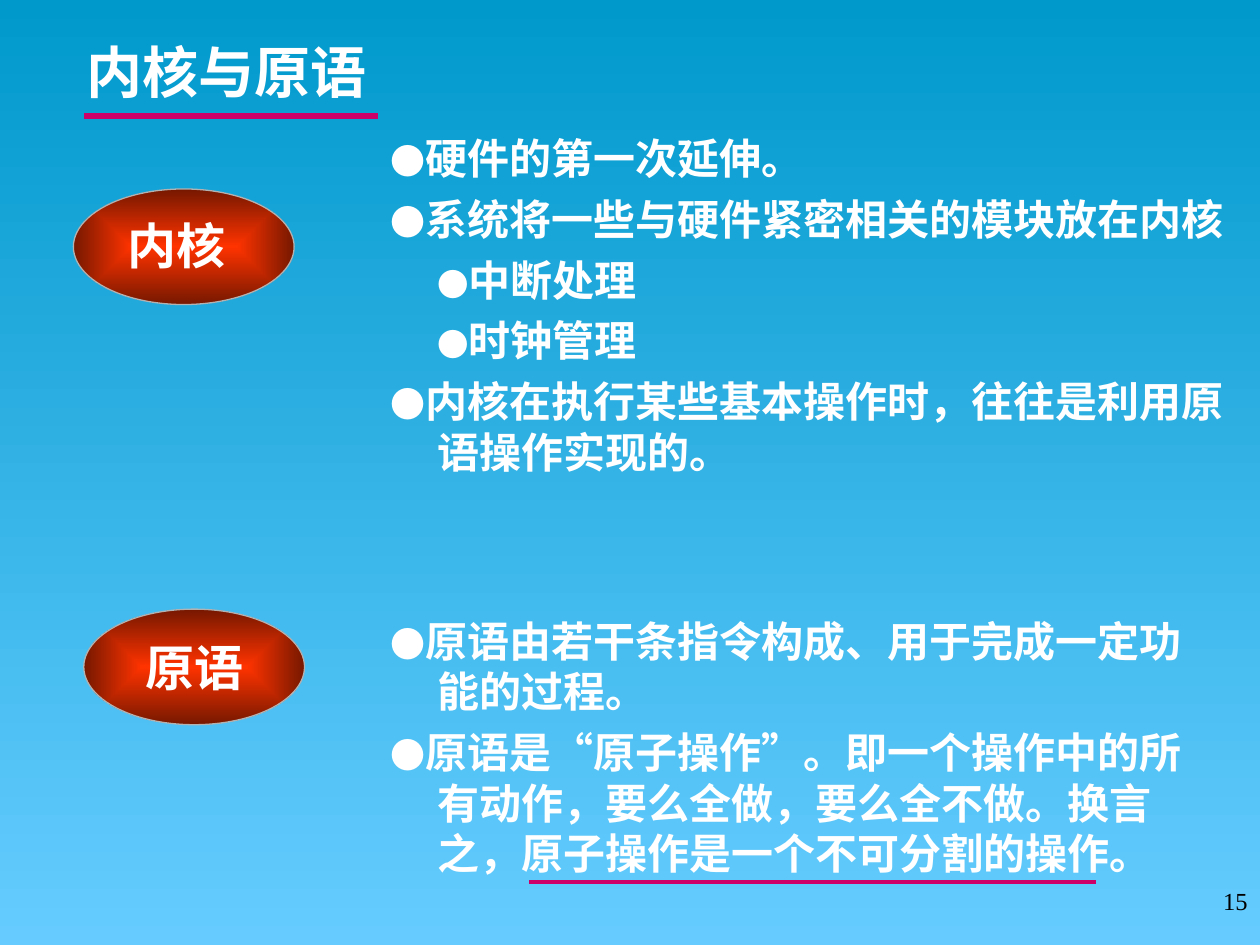
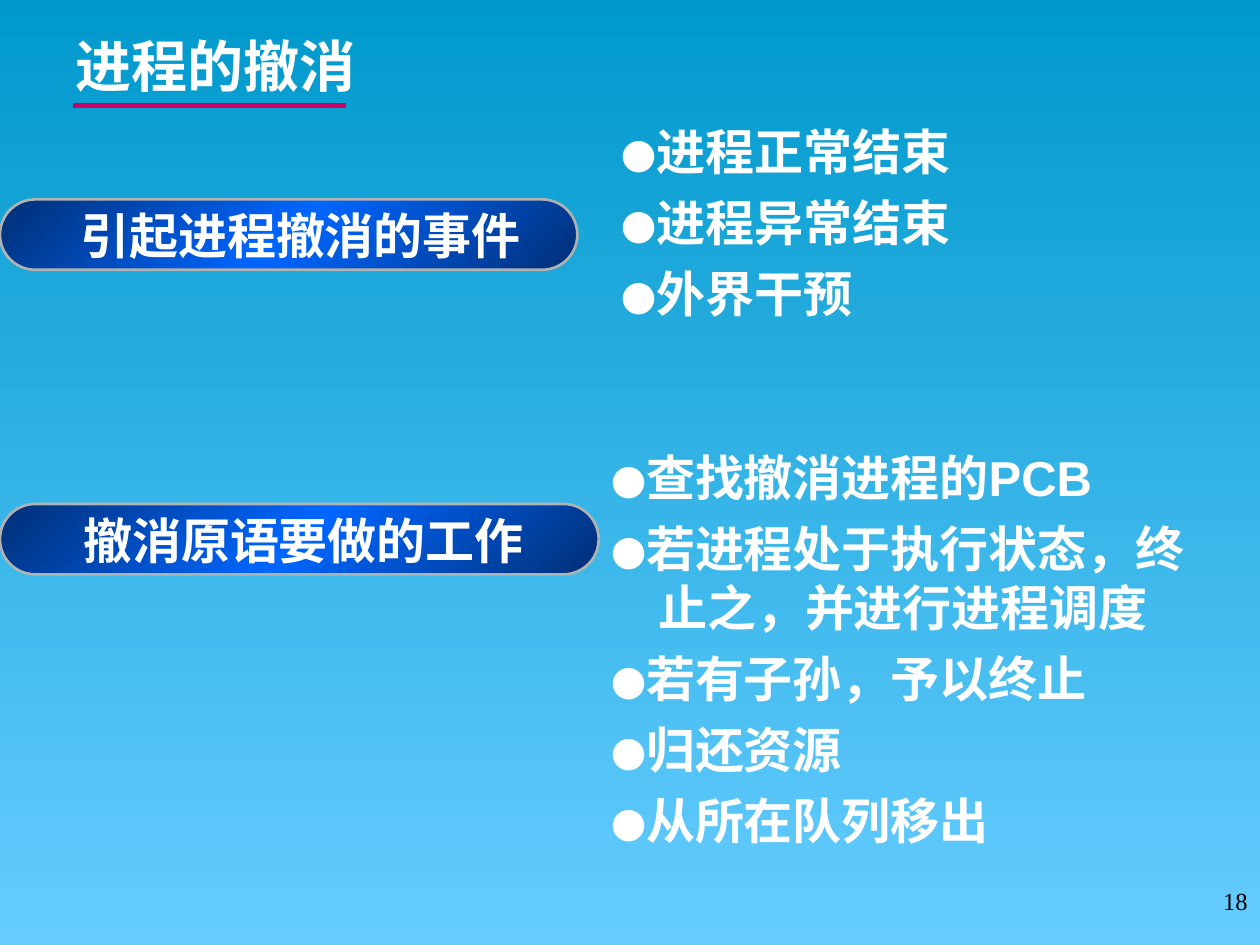
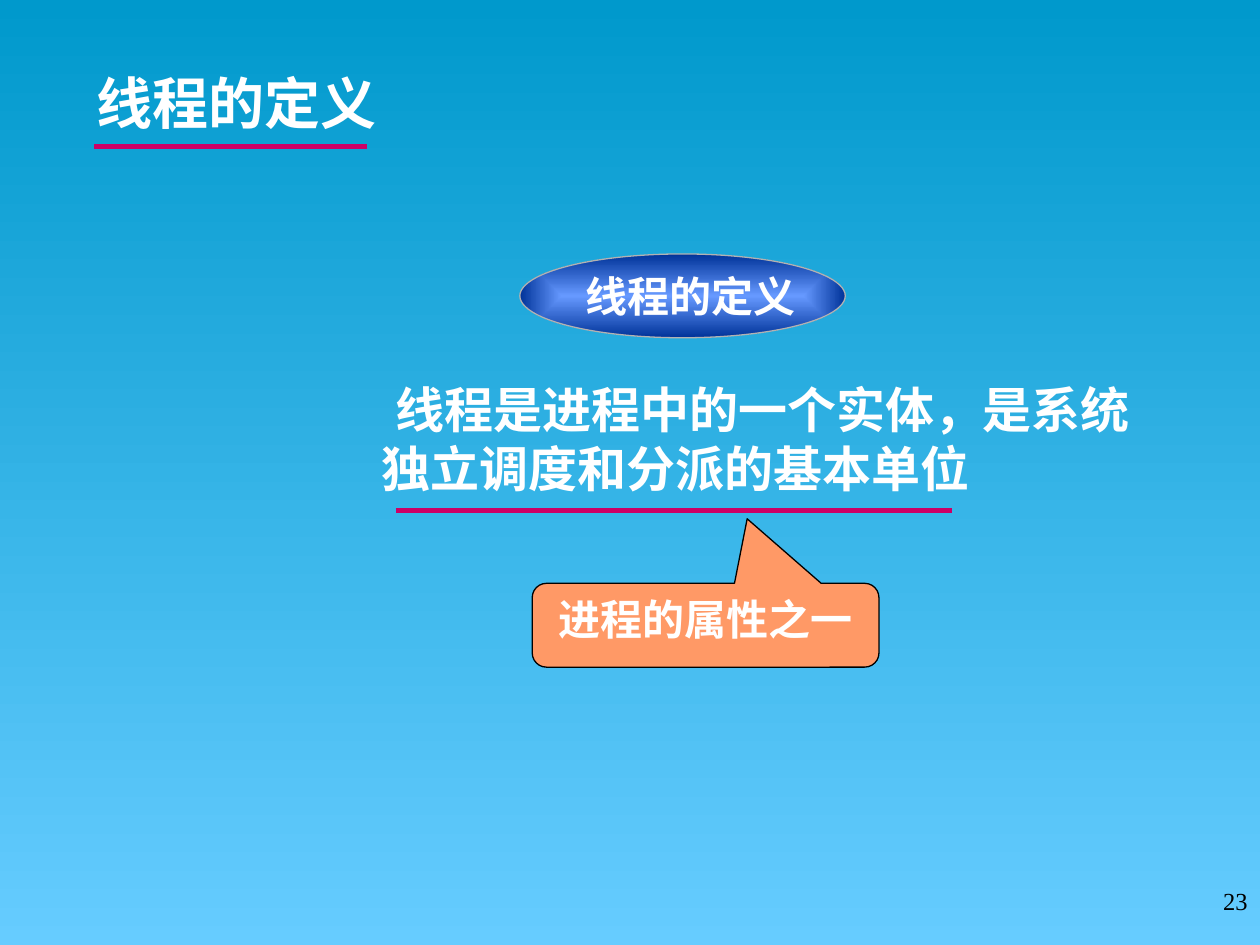
from dataclasses import dataclass

import pptx
import pptx.dml.color
import pptx.enum.shapes
import pptx.enum.text
import pptx.oxml
import pptx.oxml.ns
import pptx.util
from lxml import etree

Cm, Pt = pptx.util.Cm, pptx.util.Pt
SHAPE = pptx.enum.shapes.MSO_SHAPE
ALIGN = pptx.enum.text.PP_ALIGN
ANCHOR = pptx.enum.text.MSO_ANCHOR
qn = pptx.oxml.ns.qn


@dataclass(frozen=True)
class Theme:
    white: str = "FFFFFF"
    black: str = "000000"
    rule: str = "CC0066"
    outline: str = "B2B2B2"
    callout: str = "FF9966"
    sky: tuple = ("0099CC", "66CCFF")
    red: tuple = ("FF3300", "761800")
    blue: tuple = ("6699FF", "003399")
    navy: tuple = ("002F76", "0066FF", "002F76")
    title_font: str = "Arial Narrow"
    body_font: str = "Arial"
    label_font: str = "Times New Roman"
    pill_font: str = "Cabin"
    title_size: int = 32
    large: int = 28
    medium: int = 24
    bullet: int = 20
    sub_bullet: int = 18
    number: int = 14
    hang: float = 0.95


T = Theme()


def rgb(value):
    return pptx.dml.color.RGBColor.from_string(value)


def place(shape, box):
    for name, value in zip(("left", "top", "width", "height"), box):
        setattr(shape, name, Cm(value))


def add_run(p, text, size, font, color=T.white, bold=True):
    r = p.add_run()
    r.text = text
    for name, value in {"size": Pt(size), "name": font, "bold": bold}.items():
        setattr(r.font, name, value)
    r.font.color.rgb = rgb(color)


def set_gradient(fill, root, colors, angle=None):
    """Spread colors evenly, along angle or, without one, outwards from the centre."""
    fill.gradient()
    grad = root.find(".//" + qn("a:gradFill"))
    for child in list(grad):
        grad.remove(child)
    stops = etree.SubElement(grad, qn("a:gsLst"))
    for i, color in enumerate(colors):
        pos = str(100000 * i // (len(colors) - 1))
        stop = etree.SubElement(stops, qn("a:gs"), pos=pos)
        etree.SubElement(stop, qn("a:srgbClr"), val=color)
    if angle is None:
        outward = etree.SubElement(grad, qn("a:path"), {"path": "rect"})
        etree.SubElement(outward, qn("a:fillToRect"), dict.fromkeys("ltrb", "50000"))
    else:
        etree.SubElement(grad, qn("a:lin"), ang=str(angle * 60000), scaled="0")


def add_text_box(shapes, box):
    tf = shapes.add_textbox(*map(Cm, box)).text_frame
    tf.word_wrap = True
    return tf


def add_rule(s, x, y, width, weight=3):
    line = s.shapes.add_connector(
        pptx.enum.shapes.MSO_CONNECTOR.STRAIGHT, Cm(x), Cm(y), Cm(x + width), Cm(y))
    line.line.color.rgb = rgb(T.rule)
    line.line.width = Pt(weight)
    etree.SubElement(line.element.spPr, qn("a:effectLst"))


def add_heading(s, text, box, rule_y, rule_width):
    title = s.shapes.title
    place(title, box)
    tf = title.text_frame
    tf.auto_size = pptx.enum.text.MSO_AUTO_SIZE.NONE
    tf.vertical_anchor = ANCHOR.MIDDLE
    p = tf.paragraphs[0]
    p.alignment, p.line_spacing = ALIGN.LEFT, 0.7
    add_run(p, text, T.title_size, T.title_font)
    add_rule(s, box[0] + 0.21, box[1] + rule_y, rule_width)


def add_page_number(s, number):
    p = add_text_box(s.shapes, (19.48, 17.73, 5.92, 1.32)).paragraphs[0]
    p.alignment = ALIGN.RIGHT
    add_run(p, str(number), T.number, T.label_font, T.black, bold=False)


def add_solid_shape(shapes, kind, box, outline, weight):
    shape = shapes.add_shape(kind, *map(Cm, box))
    shape.shadow.inherit = False
    shape.line.color.rgb = rgb(outline)
    shape.line.width = Pt(weight)
    return shape


def add_label(s, text, box, colors, caption=None, kind=SHAPE.OVAL, angle=None,
              weight=0.75, size=T.large, font=T.label_font):
    """Gradient label; caption is the text's own box, relative to the label."""
    shapes = s.shapes.add_group_shape().shapes if caption else s.shapes
    shape = add_solid_shape(shapes, kind, box, T.outline, weight)
    set_gradient(shape.fill, shape.element.spPr, colors, angle)
    if kind == SHAPE.ROUNDED_RECTANGLE:
        shape.adjustments[0] = 0.5
    if caption:
        dx, dy, width, height = caption
        tf = add_text_box(shapes, (box[0] + dx, box[1] + dy, width, height))
    else:
        tf = shape.text_frame
        tf.word_wrap = False
        tf.vertical_anchor = ANCHOR.MIDDLE
        tf.paragraphs[0].alignment = ALIGN.CENTER
    add_run(tf.paragraphs[0], text, size, font)


def add_pill(s, text, box, caption, font):
    add_label(s, text, box, T.navy, caption, SHAPE.ROUNDED_RECTANGLE, 45, 1.5, font=font)


def indent(p, left, first):
    pPr = p._p.get_or_add_pPr()
    pPr.set("marL", str(Cm(left)))
    pPr.set("indent", str(Cm(first)))


def add_bullets(s, box, items, size, gap):
    """Items are strings, or (string,) for the second level."""
    tf = add_text_box(s.shapes, box)
    for i, item in enumerate(items):
        nested = isinstance(item, tuple)
        p = tf.add_paragraph() if i else tf.paragraphs[0]
        indent(p, T.hang, 0 if nested else -T.hang)
        if i:
            p.space_before = Pt(gap)
        add_run(p, "●", T.sub_bullet if nested else T.bullet, T.label_font)
        add_run(p, item[0] if nested else item, size, T.body_font)


def add_statement(s, text, box):
    p = add_text_box(s.shapes, box).paragraphs[0]
    indent(p, T.hang, 0.28)
    add_run(p, text, T.large, T.body_font)
    add_rule(s, box[0] + 1.48, box[1] + 2.77, 11.22)


def add_callout(s, text, box):
    shape = add_solid_shape(s.shapes, SHAPE.ROUNDED_RECTANGULAR_CALLOUT, box, T.black, 0.75)
    shape.fill.solid()
    shape.fill.fore_color.rgb = rgb(T.callout)
    for i, value in enumerate((0.12, -1.27, 0.17)):
        shape.adjustments[i] = value
    tf = shape.text_frame
    tf.vertical_anchor = ANCHOR.TOP
    tf.paragraphs[0].alignment = ALIGN.CENTER
    add_run(tf.paragraphs[0], text, T.medium, T.label_font)


def build_kernel(s):
    add_heading(s, "内核与原语", (1.48, 0, 16.93, 3.18), 2.34, 5.92)
    add_label(s, "内核", (1.48, 3.81, 4.45, 2.33), T.red, (0.85, 0.42, 2.75, 1.44))
    add_bullets(s, (7.62, 2.54, 17.78, 8.69), [
        "硬件的第一次延伸。",
        "系统将一些与硬件紧密相关的模块放在内核",
        ("中断处理",),
        ("时钟管理",),
        "内核在执行某些基本操作时，往往是利用原语操作实现的。",
    ], T.medium, 6)
    add_label(s, "原语", (1.69, 12.28, 4.45, 2.33), T.red)
    add_bullets(s, (7.62, 12.28, 16.51, 5.93), [
        "原语由若干条指令构成、用于完成一定功能的过程。",
        "原语是“原子操作”。即一个操作中的所有动作，要么全做，要么全不做。"
        "换言之，原子操作是一个不可分割的操作。",
    ], T.medium, 6)
    add_rule(s, 10.67, 17.78, 11.43, 2.25)


def build_termination(s):
    add_heading(s, "进程的撤消", (1.27, 0.64, 6.77, 1.69), 1.48, 5.5)
    add_pill(s, "引起进程撤消的事件", (0, 4.02, 11.64, 1.42), (1.37, 0, 9.6, 1.44), T.pill_font)
    add_bullets(s, (12.28, 2.33, 7.83, 4.87),
                ["进程正常结束", "进程异常结束", "外界干预"], T.large, 7)
    add_pill(s, "撤消原语要做的工作", (0, 10.16, 12.07, 1.42), (1.43, 0, 9.93, 1.44), T.label_font)
    add_bullets(s, (12.07, 8.89, 12.28, 9.31), [
        "查找撤消进程的PCB",
        "若进程处于执行状态，终止之，并进行进程调度",
        "若有子孙，予以终止",
        "归还资源",
        "从所在队列移出",
    ], T.large, 7)


def build_thread(s):
    add_heading(s, "线程的定义", (1.69, 0.64, 6.77, 3.18), 2.32, 5.5)
    add_label(s, "线程的定义", (10.48, 5.12, 6.56, 1.69), T.blue,
              (1.07, 0.2, 5.29, 1.27), size=T.medium)
    add_statement(s, "线程是进程中的一个实体，是系统独立调度和分派的基本单位",
                  (6.5, 7.52, 17.36, 3.18))
    add_callout(s, "进程的属性之一", (10.73, 11.76, 6.99, 1.69))


def main():
    prs = pptx.Presentation()
    prs.slide_width, prs.slide_height = Cm(25.4), Cm(19.05)
    master = prs.slide_master
    set_gradient(master.background.fill, master.element, T.sky, 90)
    title_only = prs.slide_layouts.get_by_name("Title Only")
    for number, build in ((15, build_kernel), (18, build_termination), (23, build_thread)):
        s = prs.slides.add_slide(title_only)
        build(s)
        add_page_number(s, number)
    prs.save("out.pptx")


if __name__ == "__main__":
    main()
